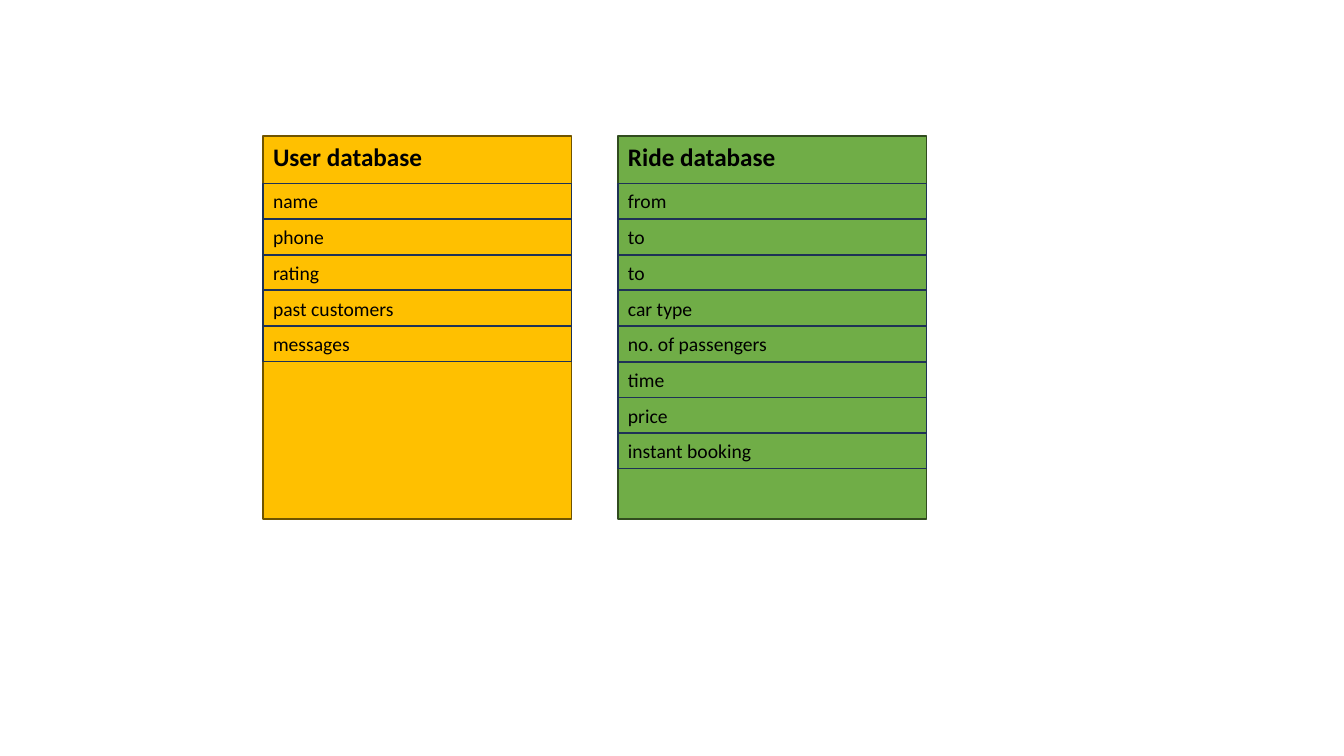
from pptx import Presentation
from pptx.dml.color import RGBColor
from pptx.enum.shapes import MSO_SHAPE
from pptx.enum.text import MSO_ANCHOR, PP_ALIGN
from pptx.util import Inches, Pt

RECTANGLE = MSO_SHAPE.RECTANGLE
TOP = MSO_ANCHOR.TOP
MIDDLE = MSO_ANCHOR.MIDDLE
LEFT = PP_ALIGN.LEFT

BLACK = RGBColor(0x00, 0x00, 0x00)
NAVY = RGBColor(0x1E, 0x32, 0x56)
AMBER = RGBColor(0xFF, 0xC0, 0x00)
BROWN = RGBColor(0x70, 0x54, 0x00)
GREEN = RGBColor(0x70, 0xAD, 0x47)
DARK_GREEN = RGBColor(0x31, 0x4C, 0x1F)

CARD_TOP = 1.35
CARD_WIDTH = 3.06
CARD_HEIGHT = 3.8
FIRST_ROW_TOP = 1.82
LAST_ROW_TOP = 4.3
ROW_HEIGHT = 0.35

DATABASES = [
    ("User database", 2.61, AMBER, BROWN,
     ["name", "phone", "rating", "past customers", "messages"]),
    ("Ride database", 6.13, GREEN, DARK_GREEN,
     ["from", "to", "to", "car type", "no. of passengers", "time", "price",
      "instant booking"]),
]
ROW_STEP = (LAST_ROW_TOP - FIRST_ROW_TOP) / (len(DATABASES[1][4]) - 1)


class DatabaseSlide:
    title_font = {"name": "Calibri", "size": Pt(18), "bold": True}
    field_font = {"name": "Calibri", "size": Pt(14), "bold": False}

    def __init__(self, presentation):
        self.slide = presentation.slides.add_slide(presentation.slide_layouts[6])

    def box(self, text, left, top, height, line_color, font_values, anchor, fill_color=None):
        shape = self.slide.shapes.add_shape(
            RECTANGLE, Inches(left), Inches(top), Inches(CARD_WIDTH), Inches(height))
        shape.shadow.inherit = False
        if fill_color is None:
            shape.fill.background()
        else:
            shape.fill.solid()
            shape.fill.fore_color.rgb = fill_color
        shape.line.color.rgb = line_color
        shape.line.width = Pt(1)
        shape.text_frame.vertical_anchor = anchor
        paragraph = shape.text_frame.paragraphs[0]
        paragraph.alignment = LEFT
        run = paragraph.add_run()
        run.text = text
        for name, value in font_values.items():
            setattr(run.font, name, value)
        run.font.color.rgb = BLACK

    def card(self, title, left, fill_color, line_color):
        self.box(title, left, CARD_TOP, CARD_HEIGHT, line_color, self.title_font, TOP,
                 fill_color)

    def fields(self, names, left):
        for index, name in enumerate(names):
            self.box(name, left, FIRST_ROW_TOP + index * ROW_STEP, ROW_HEIGHT, NAVY,
                     self.field_font, MIDDLE)


def main():
    presentation = Presentation()
    presentation.slide_width = Inches(13.33)
    presentation.slide_height = Inches(7.5)
    database_slide = DatabaseSlide(presentation)
    for title, left, fill_color, line_color, names in DATABASES:
        database_slide.card(title, left, fill_color, line_color)
        database_slide.fields(names, left)
    presentation.save("out.pptx")


if __name__ == "__main__":
    main()
